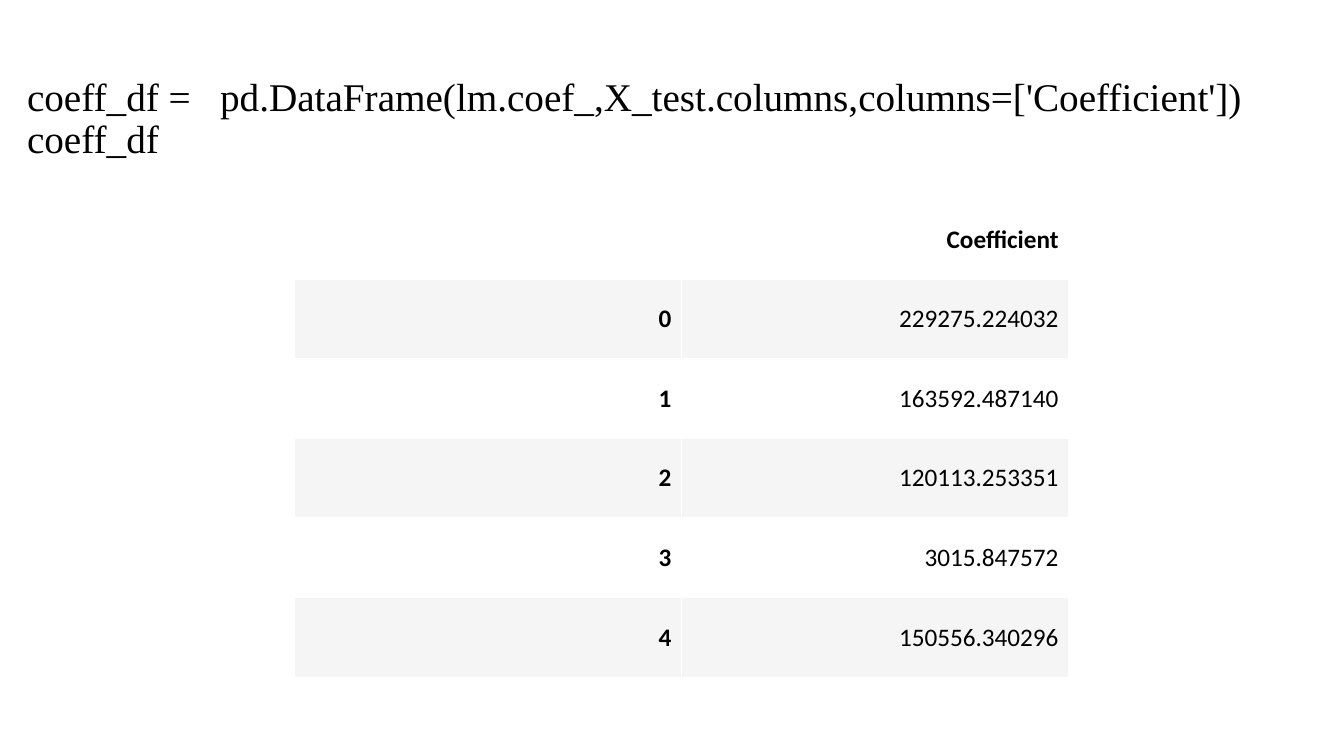
from pptx import Presentation
from pptx.dml.color import RGBColor
from pptx.enum.text import MSO_ANCHOR, PP_ALIGN
from pptx.util import Inches, Pt

CODE_LINES = [
    "coeff_df =   pd.DataFrame(lm.coef_,X_test.columns,columns=['Coefficient'])",
    "coeff_df",
]
COEFFICIENTS = [
    ("", "Coefficient"),
    ("0", "229275.224032"),
    ("1", "163592.487140"),
    ("2", "120113.253351"),
    ("3", "3015.847572"),
    ("4", "150556.340296"),
]

BLACK = RGBColor(0x00, 0x00, 0x00)
WHITE = RGBColor(0xFF, 0xFF, 0xFF)
STRIPE = RGBColor(0xF5, 0xF5, 0xF5)
MIDDLE = MSO_ANCHOR.MIDDLE
RIGHT = PP_ALIGN.RIGHT

SLIDE_WIDTH, SLIDE_HEIGHT = 13.33, 7.5
CODE_BOX = (0.17, 0.4, 13.16, 1.58)
TABLE_LEFT, TABLE_TOP = 2.92, 1.98
COLUMN_WIDTH, ROW_HEIGHT = 3.84, 0.79


def add_run(paragraph, text, font_name, size, bold=False):
    run = paragraph.add_run()
    run.text = text
    run.font.name = font_name
    run.font.size = Pt(size)
    run.font.bold = bold
    run.font.color.rgb = BLACK


def add_code(slide):
    shape = slide.shapes.add_textbox(*map(Inches, CODE_BOX))
    frame = shape.text_frame
    frame.word_wrap = True
    frame.vertical_anchor = MIDDLE
    paragraph = frame.paragraphs[0]
    paragraph.line_spacing = 0.9
    for index, line in enumerate(CODE_LINES):
        if index:
            paragraph.add_line_break()
        add_run(paragraph, line, "Times New Roman", 28)


def add_coefficients(slide):
    row_count, column_count = len(COEFFICIENTS), len(COEFFICIENTS[0])
    table = slide.shapes.add_table(
        row_count, column_count, Inches(TABLE_LEFT), Inches(TABLE_TOP),
        Inches(column_count * COLUMN_WIDTH), Inches(row_count * ROW_HEIGHT),
    ).table
    table.first_row = False
    table.horz_banding = False
    for column in table.columns:
        column.width = Inches(COLUMN_WIDTH)
    for row_index, values in enumerate(COEFFICIENTS):
        table.rows[row_index].height = Inches(ROW_HEIGHT)
        for column_index, value in enumerate(values):
            cell = table.cell(row_index, column_index)
            cell.fill.solid()
            cell.fill.fore_color.rgb = STRIPE if row_index % 2 else WHITE
            cell.vertical_anchor = MIDDLE
            paragraph = cell.text_frame.paragraphs[0]
            paragraph.alignment = RIGHT
            if value:
                is_header = row_index == 0 or column_index == 0
                add_run(paragraph, value, "Calibri", 18, is_header)


def main():
    """Build the slide with the regression coefficients."""
    presentation = Presentation()
    presentation.slide_width = Inches(SLIDE_WIDTH)
    presentation.slide_height = Inches(SLIDE_HEIGHT)
    slide = presentation.slides.add_slide(presentation.slide_layouts[6])
    add_code(slide)
    add_coefficients(slide)
    presentation.save("out.pptx")


if __name__ == "__main__":
    main()
